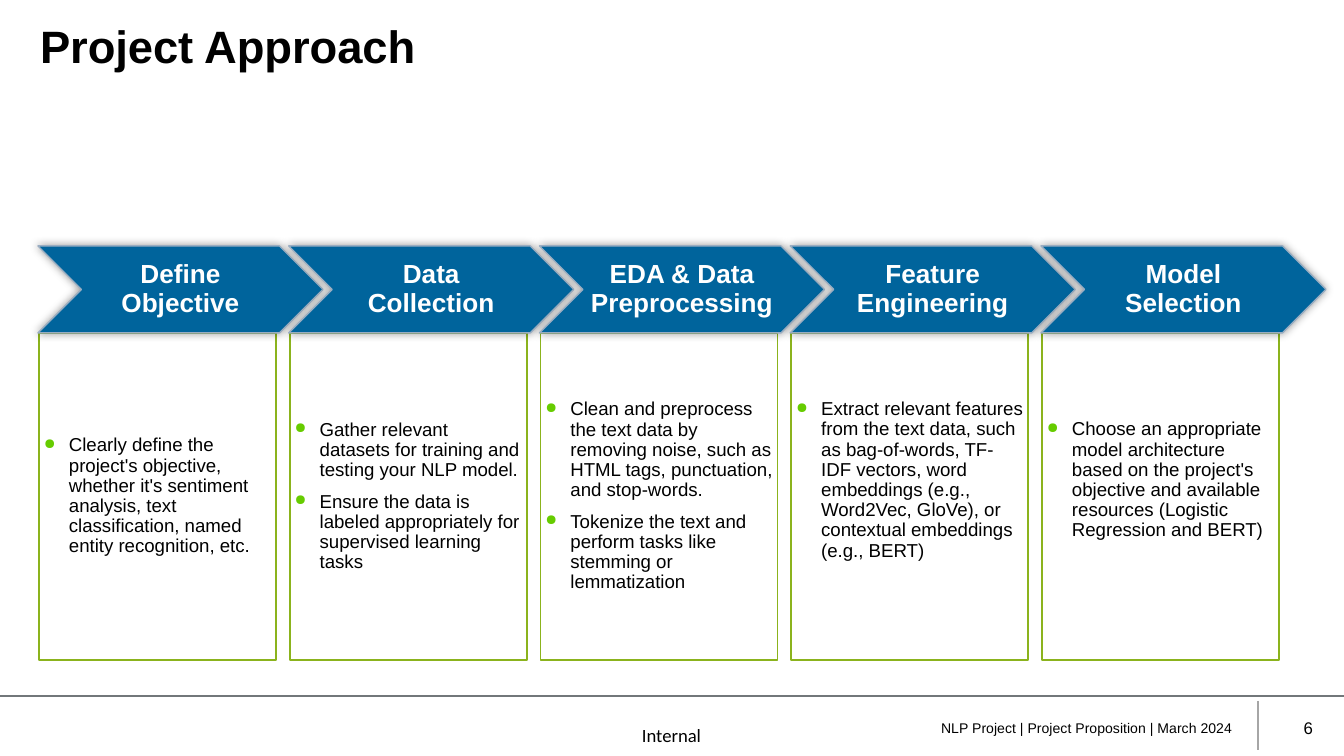
from dataclasses import dataclass

from lxml.etree import SubElement
from pptx import Presentation
from pptx.dml.color import RGBColor
from pptx.enum.shapes import MSO_CONNECTOR, MSO_SHAPE
from pptx.enum.text import MSO_ANCHOR, MSO_AUTO_SIZE, PP_ALIGN
from pptx.oxml.ns import qn
from pptx.util import Pt

EMU_PER_PX = 914400 / 134.4


@dataclass(frozen=True)
class Theme:
    font: str = "Arial"
    label_font: str = "Calibri"
    text: str = "000000"
    white: str = "FFFFFF"
    arrow: str = "00649C"
    arrow_line: str = "99ADC2"
    card_line: str = "8BB31D"
    bullet: str = "66CC00"
    rule: str = "72777A"
    divider: str = "A6A6A6"
    title_size: float = 24.3
    step_size: float = 14
    body_size: float = 10
    footer_size: float = 7.5
    number_size: float = 9


THEME = Theme()

# Heading, bullets, and extra space below the text in px
STEPS = [
    ("Define Objective",
     ["Clearly define the project's objective, whether it's sentiment analysis, "
      "text classification, named entity recognition, etc."], 0),
    ("Data Collection",
     ["Gather relevant datasets for training and testing your NLP model.",
      "Ensure the data is labeled appropriately for supervised learning tasks"], 0),
    ("EDA & Data Preprocessing",
     ["Clean and preprocess the text data by removing noise, such as HTML tags, "
      "punctuation, and stop-words.",
      "Tokenize the text and perform tasks like stemming or lemmatization"], 0),
    ("Feature Engineering",
     ["Extract relevant features from the text data, such as bag-of-words, TF-IDF "
      "vectors, word embeddings (e.g., Word2Vec, GloVe), or contextual embeddings "
      "(e.g., BERT)"], 32),
    ("Model Selection",
     ["Choose an appropriate model architecture based on the project's objective "
      "and available resources (Logistic Regression and BERT)"], 32),
]


def px(length):
    return round(length * EMU_PER_PX)


def color(value):
    return RGBColor.from_string(value)


def style_paragraph(paragraph, size, text_color=THEME.text, bold=False,
                    font=THEME.font, align=PP_ALIGN.LEFT):
    paragraph.alignment = align
    paragraph.font.name = font
    paragraph.font.size = Pt(size)
    paragraph.font.bold = bold
    paragraph.font.color.rgb = color(text_color)


def set_frame(frame, horizontal, vertical, extra_bottom=0, anchor=MSO_ANCHOR.MIDDLE):
    frame.word_wrap = True
    frame.vertical_anchor = anchor
    frame.margin_left = frame.margin_right = px(horizontal)
    frame.margin_top = px(vertical)
    frame.margin_bottom = px(vertical + extra_bottom)


def add_bullet(paragraph, indent):
    properties = paragraph._p.get_or_add_pPr()
    properties.set("marL", str(px(indent)))
    properties.set("indent", str(-px(indent)))
    bullet_color = SubElement(properties, qn("a:buClr"))
    SubElement(bullet_color, qn("a:srgbClr"), val=THEME.bullet)
    SubElement(properties, qn("a:buSzPct"), val="80000")
    SubElement(properties, qn("a:buChar"), char="●")


def add_glow(shape):
    """Give the shape a soft, centred shadow."""
    shape.shadow.inherit = False
    effects = shape._element.spPr.find(qn("a:effectLst"))
    shadow = SubElement(effects, qn("a:outerShdw"), blurRad=str(Pt(5)), dist="0",
                        dir="0", algn="ctr", rotWithShape="0")
    shadow_color = SubElement(shadow, qn("a:srgbClr"), val="000000")
    SubElement(shadow_color, qn("a:alpha"), val="40000")


def add_rule(slide, start, end, line_color):
    rule = slide.shapes.add_connector(
        MSO_CONNECTOR.STRAIGHT, *(px(value) for value in start + end))
    rule.line.color.rgb = color(line_color)
    rule.line.width = Pt(1)
    SubElement(rule._element.spPr, qn("a:effectLst"))


def add_label(slide, box, text, size, align, font=THEME.font, insets=(13, 7),
              anchor=MSO_ANCHOR.MIDDLE):
    label = slide.shapes.add_textbox(*(px(value) for value in box))
    set_frame(label.text_frame, *insets, anchor=anchor)
    paragraph = label.text_frame.paragraphs[0]
    paragraph.text = text
    style_paragraph(paragraph, size, font=font, align=align)


def add_title(slide, box, text):
    title = slide.shapes.title
    title.left, title.top, title.width, title.height = (px(value) for value in box)
    set_frame(title.text_frame, 13, 7, anchor=MSO_ANCHOR.TOP)
    title.text_frame.auto_size = MSO_AUTO_SIZE.NONE
    paragraph = title.text_frame.paragraphs[0]
    paragraph.text = text
    paragraph.line_spacing = 0.9
    style_paragraph(paragraph, THEME.title_size, bold=True)


def add_card(slide, box, bullets, extra_bottom):
    card = slide.shapes.add_shape(MSO_SHAPE.RECTANGLE, *(px(value) for value in box))
    card.shadow.inherit = False
    card.fill.background()
    card.line.color.rgb = color(THEME.card_line)
    card.line.width = Pt(1)
    frame = card.text_frame
    set_frame(frame, 5, 7, extra_bottom)
    for index, text in enumerate(bullets):
        paragraph = frame.add_paragraph() if index else frame.paragraphs[0]
        paragraph.text = text
        add_bullet(paragraph, 25)
        paragraph.line_spacing = 0.9
        paragraph.space_after = Pt(6)
        style_paragraph(paragraph, THEME.body_size)


def add_step_arrow(slide, box, text):
    arrow = slide.shapes.add_shape(MSO_SHAPE.CHEVRON, *(px(value) for value in box))
    add_glow(arrow)
    arrow.fill.solid()
    arrow.fill.fore_color.rgb = color(THEME.arrow)
    arrow.line.color.rgb = color(THEME.arrow_line)
    arrow.line.width = Pt(0.75)
    set_frame(arrow.text_frame, 5, 7)
    paragraph = arrow.text_frame.paragraphs[0]
    paragraph.text = text
    paragraph.line_spacing = 0.9
    style_paragraph(paragraph, THEME.step_size, THEME.white, True,
                    align=PP_ALIGN.CENTER)


def add_process(slide, box):
    """Place a row of cards topped by overlapping step arrows."""
    left, top, width, height = box
    arrow_width, arrow_height, card_width = 285, 87, 237
    pitch = (width - arrow_width) / (len(STEPS) - 1)
    for index, (_, bullets, extra_bottom) in enumerate(STEPS):
        card_box = (left + 1 + index * pitch, top + arrow_height,
                    card_width, height - arrow_height)
        add_card(slide, card_box, bullets, extra_bottom)
    for index, (heading, _, _) in enumerate(STEPS):
        add_step_arrow(slide, (left + index * pitch, top, arrow_width, arrow_height),
                       heading)


def add_footer(slide, box):
    left, top, width, height = box
    add_rule(slide, (left, top), (left + width, top), THEME.rule)
    add_rule(slide, (left + 1258, top + 5), (left + 1258, top + height - 6),
             THEME.divider)
    add_label(slide, (left + 642, top + 28, 63, 23), "Internal", THEME.body_size,
              PP_ALIGN.LEFT, THEME.label_font, (0, 0), MSO_ANCHOR.TOP)
    add_label(slide, (left + 410, top + 11, 835, 41),
              "NLP Project | Project Proposition | March 2024",
              THEME.footer_size, PP_ALIGN.RIGHT)
    add_label(slide, (left + 1255, top + 11, 71, 41), "6",
              THEME.number_size, PP_ALIGN.RIGHT)


def main():
    presentation = Presentation()
    presentation.slide_width, presentation.slide_height = px(1344), px(756)
    slide = presentation.slides.add_slide(presentation.slide_layouts[5])
    add_title(slide, (27, 17, 1290, 65), "Project Approach")
    add_process(slide, (38, 246, 1288, 414))
    add_footer(slide, (0, 696, 1344, 60))
    presentation.save("out.pptx")


if __name__ == "__main__":
    main()
